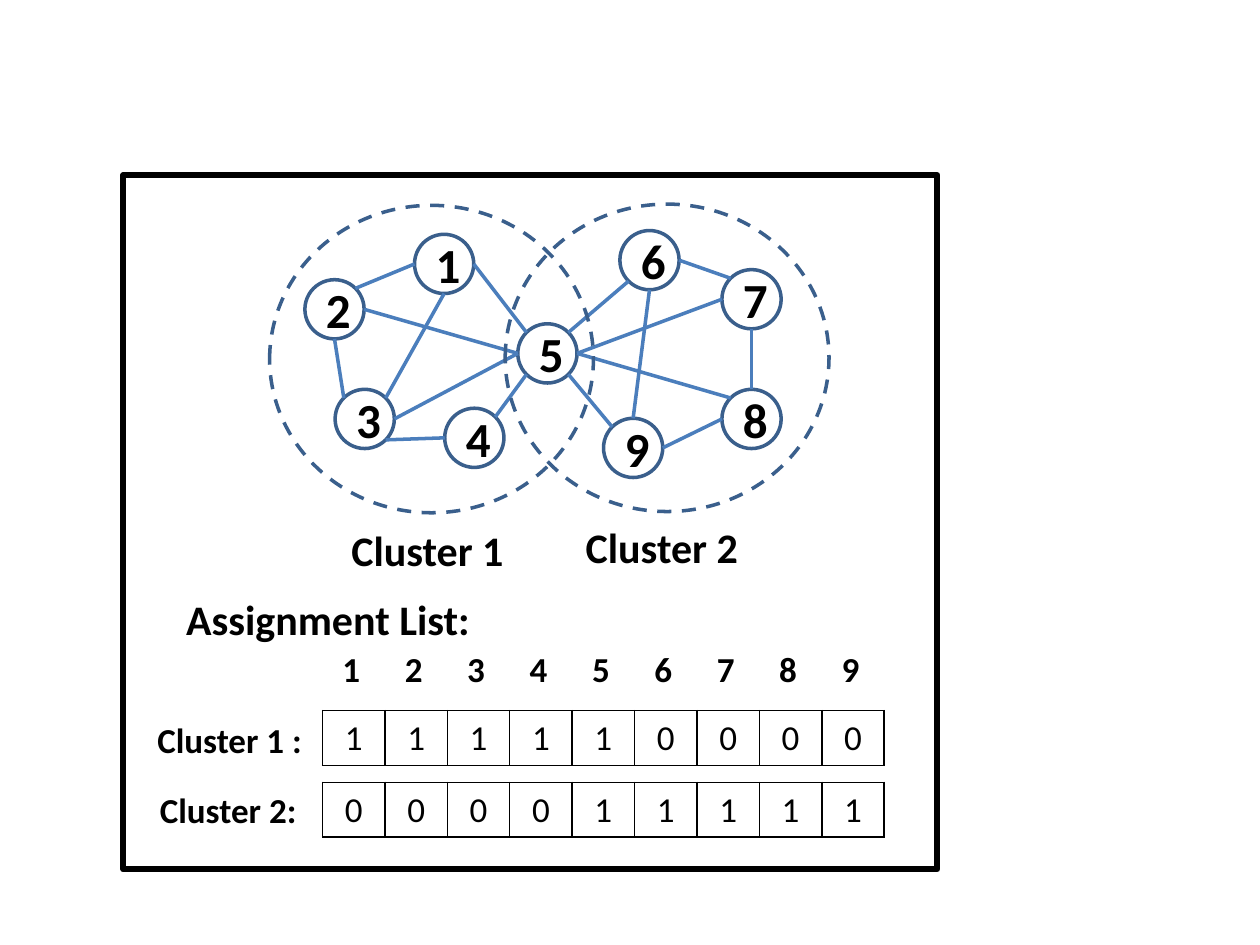
from dataclasses import dataclass
from math import cos, radians, sin

from lxml.etree import SubElement
from pptx import Presentation
from pptx.dml.color import RGBColor as RGB
from pptx.enum.dml import MSO_LINE as Dash
from pptx.enum.shapes import MSO_CONNECTOR as Conn, MSO_SHAPE as Shp
from pptx.enum.text import MSO_ANCHOR as Anchor, PP_ALIGN as Align
from pptx.oxml import parse_xml
from pptx.oxml.ns import nsdecls, qn
from pptx.util import Inches, Pt


@dataclass(frozen=True)
class Theme:
    """Colours, font and type sizes of the slide."""
    font: str = "Calibri"
    ink: str = "000000"
    outline: str = "3A5F8C"
    edge: str = "4B7EBC"
    node_size: int = 28
    heading_size: int = 24
    list_size: int = 20
    thin: float = 1
    medium: float = 2
    thick: float = 3.5


@dataclass(frozen=True)
class Box:
    """A region measured in grid units, 100 columns by 75 rows to the slide."""
    x: float
    y: float
    w: float
    h: float

    def inner(self, col, row, cols, rows):
        """Return a box placed relative to this one."""
        return Box(self.x + col, self.y + row, cols, rows)

    def emu(self):
        """Return left, top, width and height as slide lengths."""
        return [Inches(v * UNIT) for v in (self.x, self.y, self.w, self.h)]

    def rim(self, side):
        """Return the point of the inscribed ellipse that faces a compass side."""
        a = radians(SIDES.index(side) * 45)
        return (Inches((self.x + self.w / 2 * (1 + cos(a))) * UNIT),
                Inches((self.y + self.h / 2 * (1 + sin(a))) * UNIT))


T = Theme()
UNIT = 0.1
SIDES = ["E", "SE", "S", "SW", "W", "NW", "N", "NE"]
NODE = 4.7
NODES = {1: (11.5, 2.4), 2: (2.8, 6), 3: (5.2, 14.7), 4: (13.9, 16.2),
         5: (19.7, 9.5), 6: (27.8, 2.1), 7: (35.9, 5.2), 8: (35.9, 14.7),
         9: (26.5, 17)}
EDGES = [(2, "NE", 1, "W"), (2, "E", 5, "W"), (2, "S", 3, "NW"),
         (3, "E", 5, "W"), (3, "SE", 4, "W"), (1, "E", 5, "NW"),
         (1, "S", 3, "NE"), (5, "NE", 6, "SW"), (5, "SE", 9, "NW"),
         (6, "E", 7, "NW"), (7, "S", 8, "N"), (9, "E", 8, "W"),
         (5, "E", 7, "W"), (6, "S", 9, "N"), (4, "NE", 5, "SW"),
         (5, "E", 8, "NW")]
CLUSTERS = [("Cluster 1", (0, 0.1), (5.5, 24.9)),
            ("Cluster 2", (18.7, 0), (24.1, 24.7))]
MEMBERS = [("Cluster 1 :", (0, 9.9), 9.8, range(1, 6)),
           ("Cluster 2:", (0.2, 15.5), 15.5, range(5, 10))]


def write(tf, text, size, bold=True, align=Align.LEFT):
    """Put one formatted run into a text frame."""
    p = tf.paragraphs[0]
    p.alignment = align
    r = p.add_run()
    r.text = str(text)
    r.font.name, r.font.size, r.font.bold = T.font, Pt(size), bold
    r.font.color.rgb = RGB.from_string(T.ink)


def add_label(s, box, text, size, wrap=True):
    """Add a bold text box."""
    tf = s.shapes.add_textbox(*box.emu()).text_frame
    tf.word_wrap = wrap
    write(tf, text, size)


def add_outline(s, box, kind, color, width, dash=None):
    """Add an unfilled shape."""
    sp = s.shapes.add_shape(kind, *box.emu())
    sp.shadow.inherit = False
    sp.fill.background()
    sp.line.color.rgb = RGB.from_string(color)
    sp.line.width = Pt(width)
    if dash:
        sp.line.dash_style = dash
    return sp


def add_edge(s, start, end):
    """Add a straight line between two points."""
    line = s.shapes.add_connector(Conn.STRAIGHT, *start, *end)
    line.line.color.rgb = RGB.from_string(T.edge)
    line.line.width = Pt(T.medium)
    SubElement(line._element.spPr, qn("a:effectLst"))


def set_borders(cell):
    """Draw a thin line on each side of a table cell."""
    tc_pr = cell._tc.get_or_add_tcPr()
    for i, side in enumerate("LRTB"):
        tc_pr.insert(i, parse_xml(
            f'<a:ln{side} {nsdecls("a")} w="{Pt(T.thin)}"><a:solidFill>'
            f'<a:srgbClr val="{T.ink}"/></a:solidFill></a:ln{side}>'))


def add_row(s, box, values, header=False):
    """Add a one-row table of equal columns."""
    table = s.shapes.add_table(1, len(values), *box.emu()).table
    table.first_row = table.horz_banding = False
    for cell, value in zip(table.rows[0].cells, values):
        cell.fill.background()
        write(cell.text_frame, value, T.list_size, header, Align.CENTER)
        if not header:
            set_borders(cell)


def draw_graph(s, box):
    """Draw the nodes, their edges and the two overlapping clusters."""
    nodes = {n: box.inner(*at, NODE, NODE) for n, at in NODES.items()}
    for n, spot in nodes.items():
        tf = add_outline(s, spot, Shp.OVAL, T.outline, T.medium).text_frame
        tf.vertical_anchor = Anchor.MIDDLE
        write(tf, n, T.node_size, align=Align.CENTER)
    for a, side_a, b, side_b in EDGES:
        add_edge(s, nodes[a].rim(side_a), nodes[b].rim(side_b))
    for name, ring, label in CLUSTERS:
        add_outline(s, box.inner(*ring, 25.7, 24.4), Shp.OVAL, T.outline,
                    T.medium, Dash.DASH)
        add_label(s, box.inner(*label, 17.5, 5), name, T.heading_size)


def draw_assignments(s, box):
    """List which nodes belong to each cluster."""
    add_label(s, box.inner(2.3, 0, 26.3, 5), "Assignment List:",
              T.heading_size, wrap=False)
    add_row(s, box.inner(13.9, 4.4, 44.6, 4.3), list(NODES), header=True)
    for name, label, row, members in MEMBERS:
        add_row(s, box.inner(14.1, row, 44.6, 4.3),
                [int(n in members) for n in NODES])
        add_label(s, box.inner(*label, 17.3, 4.4), name, T.list_size)


def main():
    """Build the slide and save it."""
    prs = Presentation()
    prs.slide_width, prs.slide_height = Inches(10), Inches(7.5)
    s = prs.slides.add_slide(prs.slide_layouts[6])
    panel = Box(9.8, 13.9, 64.6, 55.1)
    add_outline(s, panel, Shp.RECTANGLE, T.ink, T.thick)
    draw_graph(s, panel.inner(11.6, 2.3, 44.4, 24.5))
    draw_assignments(s, panel.inner(1.7, 32.7, 58.7, 19.9))
    prs.save("out.pptx")


if __name__ == "__main__":
    main()
